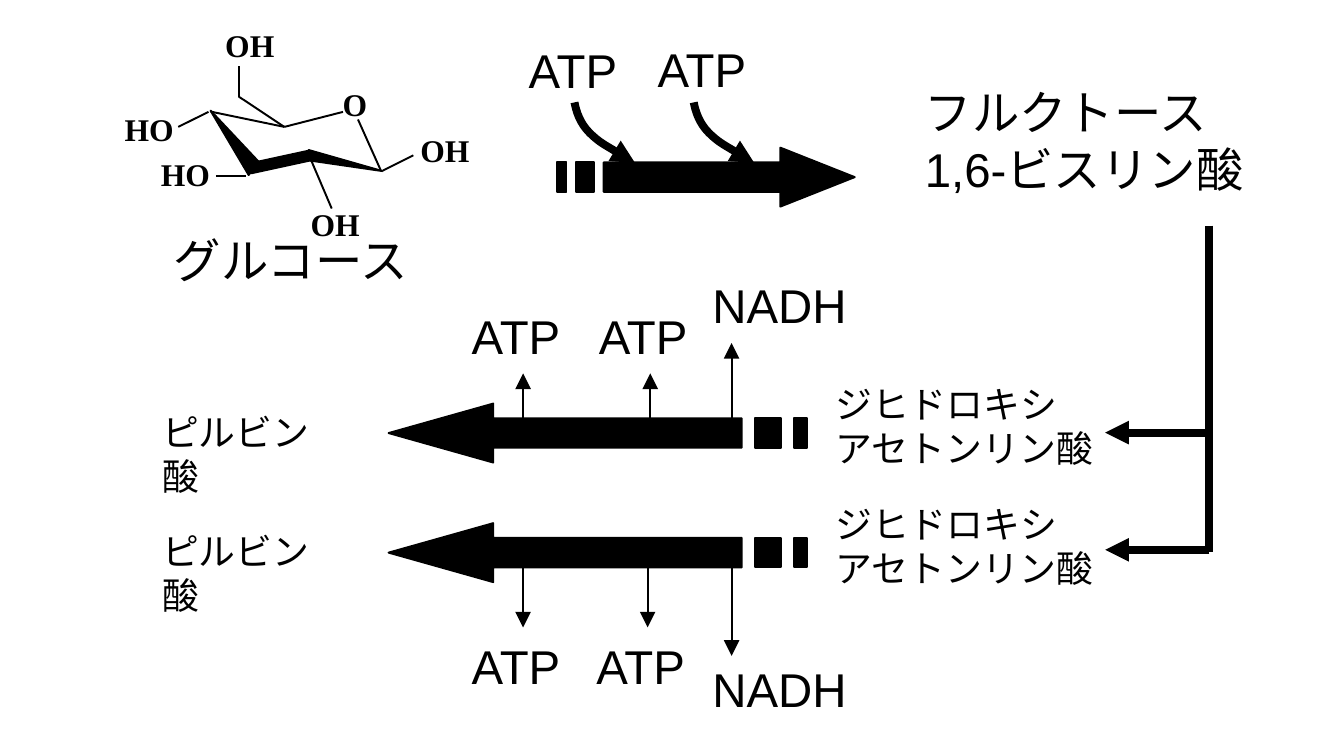
from dataclasses import dataclass
from itertools import pairwise

from lxml.etree import SubElement
from pptx import Presentation
from pptx.dml.color import RGBColor
from pptx.enum.shapes import MSO_CONNECTOR
from pptx.enum.text import MSO_AUTO_SIZE
from pptx.oxml.ns import qn
from pptx.util import Pt


@dataclass(frozen=True)
class Theme:
    """Colours, fonts, type sizes and line widths of the slide."""
    ink: RGBColor = RGBColor(0, 0, 0)
    font: str = "Arial"
    atom_font: str = "Times New Roman"
    large: float = 18
    medium: float = 14
    atom: float = 12
    thin: float = 0.75
    thick: float = 3
    bar: float = 4.5


THEME = Theme()


def label(sl, text, x, y, w, h, size=THEME.large, font=THEME.font, bold=False):
    """Add unwrapped text, one paragraph per line."""
    s = sl.shapes.add_textbox(Pt(x), Pt(y), Pt(w), Pt(h))
    tf = s.text_frame
    tf.word_wrap = False
    tf.auto_size = MSO_AUTO_SIZE.SHAPE_TO_FIT_TEXT
    tf.text = text
    for p in tf.paragraphs:
        p.font.name = font
        p.font.size = Pt(size)
        p.font.bold = bold
        p.font.color.rgb = THEME.ink


def ink_line(s, width, arrow=False):
    """Draw a shape's line in ink, with an arrowhead at its end if asked."""
    s.line.color.rgb = THEME.ink
    s.line.width = Pt(width)
    if arrow:
        SubElement(s.line._ln, qn("a:tailEnd"), type="triangle")


def line(sl, start, end, width=THEME.thin, arrow=False):
    """Add a straight line between two points."""
    s = sl.shapes.add_connector(MSO_CONNECTOR.STRAIGHT, *map(Pt, start + end))
    ink_line(s, width, arrow)
    SubElement(s._element.spPr, qn("a:effectLst"))


def solid(sl, *outlines):
    """Add one filled shape made of closed outlines."""
    first, *others = [[(Pt(x), Pt(y)) for x, y in o] for o in outlines]
    fb = sl.shapes.build_freeform(*first[0])
    fb.add_line_segments(first[1:])
    for o in others:
        fb.move_to(*o[0])
        fb.add_line_segments(o[1:])
    s = fb.convert_to_shape()
    s.shadow.inherit = False
    s.fill.solid()
    s.fill.fore_color.rgb = THEME.ink
    ink_line(s, THEME.thin)


def striped_arrow(sl, tip, y, length):
    """Add a block arrow with a broken tail; a negative length points left."""
    def at(part):
        return tip - length * part

    half, shaft = 11.2, 5.6
    head, tail = at(0.25), at(27 / 32)
    stripes = [(at(28 / 32), at(30 / 32)), (at(31 / 32), at(1))]
    solid(sl,
          [(tail, y - shaft), (head, y - shaft), (head, y - half), (tip, y),
           (head, y + half), (head, y + shaft), (tail, y + shaft), (tail, y - shaft)],
          *[[(a, y - shaft), (b, y - shaft), (b, y + shaft), (a, y + shaft), (a, y - shaft)]
            for a, b in stripes])


def curved_arrow(sl, x, y):
    """Add a curved arrow bending down to the right."""
    pts = [(0.7, 3.6), (2.1, 7.9), (5.7, 11.5), (9.3, 15.1), (15.8, 18.7), (23, 23)]
    fb = sl.shapes.build_freeform(Pt(x), Pt(y))
    fb.add_line_segments([(Pt(x + dx), Pt(y + dy)) for dx, dy in pts], close=False)
    s = fb.convert_to_shape()
    outline = next(s._element.iter(qn("a:path")))
    steps = outline.findall(qn("a:lnTo"))
    for i in range(0, len(steps), 3):
        curve = SubElement(outline, qn("a:cubicBezTo"))
        for step in steps[i:i + 3]:
            curve.append(step[0])
            outline.remove(step)
    s.shadow.inherit = False
    s.fill.background()
    ink_line(s, THEME.thick, arrow=True)


def glucose(sl, x, y):
    """Draw the glucose molecule and its name."""
    def at(pt):
        return x + pt[0], y + pt[1]

    atoms = [("HO", 14, 49.4), ("HO", 0.3, 32.2), ("OH", 70.9, 68.2),
             ("OH", 112.6, 40.1), ("OH", 38.5, 0.5), ("O", 83.1, 22.8)]
    bonds = [[(40, 36.4), (68, 42.2), (90.3, 36.5)], [(96, 39.4), (104.7, 58.8)],
             [(50.7, 19.2), (50.7, 30.7), (68, 42.2)], [(39.2, 36.5), (27.7, 42.2)],
             [(42, 61), (53.6, 61)], [(105.4, 58.8), (117, 53)], [(77.4, 53), (86, 73.2)]]
    wedges = [[(40, 36), (58.3, 55.5), (54.5, 60.5), (40, 36)],
              [(77.3, 51), (77.8, 55), (105.3, 59), (77.3, 51)]]
    label(sl, "グルコース", x + 19, y + 78.2, 104.4, 28.8)
    for text, dx, dy in atoms:
        label(sl, text, x + dx, y + dy, 33 if len(text) == 2 else 23.8, 21.6,
              THEME.atom, THEME.atom_font, True)
    for wedge in wedges:
        solid(sl, [at(pt) for pt in wedge])
    line(sl, at((55, 58)), at((78, 53)), THEME.bar)
    for bond in bonds:
        for a, b in pairwise(bond):
            line(sl, at(a), at(b))


def phosphorylation(sl, x, y):
    """Draw the arrow that takes up two ATP."""
    striped_arrow(sl, x + 131, y + 55.5, 113)
    for dx, dy, curve in [(0, 0.4, 24.5), (49, 0, 69.8)]:
        label(sl, "ATP", x + dx, y + dy, 49, 28.8)
        curved_arrow(sl, x + curve, y + 27.1)


def fructose_split(sl, x, y):
    """Draw fructose bisphosphate and its fork into two arrows."""
    label(sl, "フルクトース\n1,6-ビスリン酸", x, y, 139.7, 50.4)
    trunk = x + 115.2
    line(sl, (trunk, y + 57.6), (trunk, y + 181.4), THEME.thick)
    for dy in (136.2, 180.7):
        line(sl, (trunk, y + dy), (trunk - 39.6, y + dy), THEME.thick, True)


def pyruvate_branch(sl, x, y, side, outputs):
    """Draw one branch to pyruvate; side is -1 for outputs above, 1 for below."""
    sizes = {"ATP": (26.6, 49), "NADH": (14.4, 65.5)}
    label(sl, "ジヒドロキシ\nアセトンリン酸", x + 256.3, y - 23, 112.3, 41, THEME.medium)
    label(sl, "ピルビン酸", x + 0.5, y - 12.6, 84.2, 24.5, THEME.medium)
    striped_arrow(sl, x + 93.6, y, -159)
    for text, dx, reach, middle in outputs:
        inset, w = sizes[text]
        line(sl, (x + dx, y + side * 5.5), (x + dx, y + side * reach), arrow=True)
        label(sl, text, x + dx - inset, y + side * middle - 14.4, w, 28.8)


def main():
    """Build and save the glycolysis slide."""
    prs = Presentation()
    prs.slide_width, prs.slide_height = Pt(510.5), Pt(283.7)
    sl = prs.slides.add_slide(prs.slide_layouts[6])
    glucose(sl, 40, 6)
    phosphorylation(sl, 193.7, 11.8)
    fructose_split(sl, 344.2, 28.1)
    pyruvate_branch(sl, 54, 164.5, -1, [("ATP", 144.7, 22.7, 37.1), ("ATP", 193, 22.7, 36.8),
                                        ("NADH", 223.9, 34.2, 48.6)])
    pyruvate_branch(sl, 54, 209.9, 1, [("ATP", 144.7, 28.4, 42.8), ("ATP", 192, 28.4, 42.8),
                                       ("NADH", 223.9, 39.2, 51.5)])
    prs.save("out.pptx")


if __name__ == "__main__":
    main()
